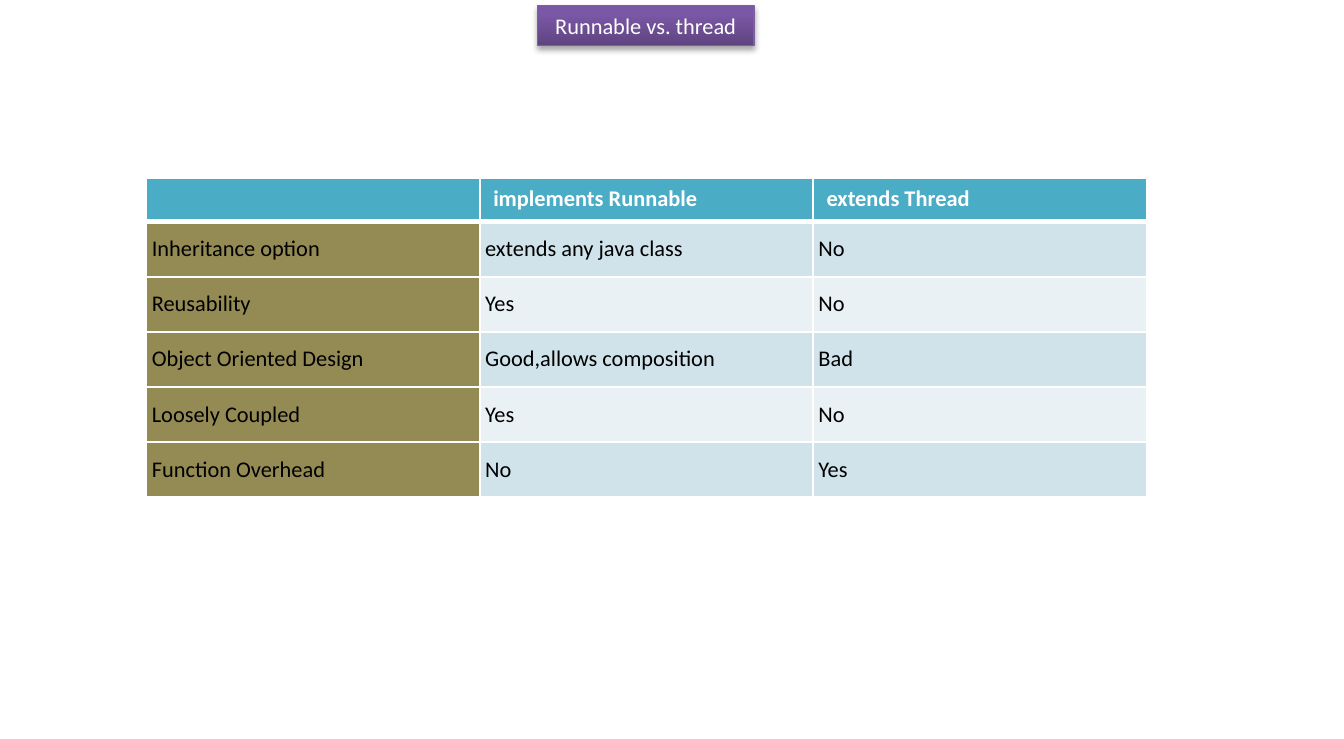
from lxml.etree import SubElement
from pptx import Presentation
from pptx.dml.color import RGBColor
from pptx.enum.shapes import MSO_SHAPE
from pptx.enum.text import MSO_ANCHOR, PP_ALIGN
from pptx.oxml.ns import qn
from pptx.util import Inches, Pt

COLORS = {
    "white": "FFFFFF",
    "black": "000000",
    "title_dark": "5F4480",
    "title_light": "7B58A6",
    "title_line": "7D60A0",
    "header": "4BACC6",
    "label": "948A54",
    "odd_row": "D0E3EA",
    "even_row": "E9F1F5",
}
FONT_SIZE = Pt(12)

ROWS = [
    ["", "implements Runnable", "extends Thread"],
    ["Inheritance option", "extends any java class", "No"],
    ["Reusability", "Yes", "No"],
    ["Object Oriented Design", "Good,allows composition", "Bad"],
    ["Loosely Coupled", "Yes", "No"],
    ["Function Overhead", "No", "Yes"],
]


def format_text(paragraph, color, bold=False):
    for run in paragraph.runs:
        run.font.name = "Calibri"
        run.font.size = FONT_SIZE
        run.font.bold = bold
        run.font.color.rgb = RGBColor.from_string(COLORS[color])


def add_borders(cell, bottom_width):
    """Draw white borders; must run before the cell gets its fill."""
    properties = cell._tc.get_or_add_tcPr()
    for side in ("L", "R", "T", "B"):
        width = bottom_width if side == "B" else Pt(1)
        line = SubElement(properties, qn(f"a:ln{side}"), w=str(width))
        fill = SubElement(line, qn("a:solidFill"))
        SubElement(fill, qn("a:srgbClr"), val=COLORS["white"])


presentation = Presentation()
presentation.slide_width = Inches(10)
presentation.slide_height = Inches(5.5)
slide = presentation.slides.add_slide(presentation.slide_layouts[6])

# Title box with gradient and soft shadow
title = slide.shapes.add_shape(
    MSO_SHAPE.RECTANGLE, Inches(4), Inches(0.04), Inches(1.61), Inches(0.3)
)
title.fill.gradient()
title.fill.gradient_angle = 90
for stop, position, color in zip(
    title.fill.gradient_stops, (0, 0.8), ("title_dark", "title_light")
):
    stop.position = position
    stop.color.rgb = RGBColor.from_string(COLORS[color])
title.line.color.rgb = RGBColor.from_string(COLORS["title_line"])
title.line.width = Pt(0.75)
title.shadow.inherit = False
effects = title._element.spPr.find(qn("a:effectLst"))
shadow = SubElement(
    effects, qn("a:outerShdw"), blurRad=str(Pt(3.1)), dist=str(Pt(1.8)),
    dir="5400000", rotWithShape="0",
)
shadow_color = SubElement(shadow, qn("a:srgbClr"), val=COLORS["black"])
SubElement(shadow_color, qn("a:alpha"), val="35000")
title.text_frame.text = "Runnable vs. thread"
title.text_frame.vertical_anchor = MSO_ANCHOR.MIDDLE
title.text_frame.word_wrap = True
title_paragraph = title.text_frame.paragraphs[0]
title_paragraph.alignment = PP_ALIGN.CENTER
format_text(title_paragraph, "white")

# Comparison table
table = slide.shapes.add_table(
    len(ROWS), len(ROWS[0]), Inches(1.09), Inches(1.33), Inches(7.44), Inches(2.35)
).table
for column in table.columns:
    column.width = Inches(2.48)

for row_index, texts in enumerate(ROWS):
    is_header = row_index == 0
    table.rows[row_index].height = Inches(0.32 if is_header else 0.41)
    for column_index, text in enumerate(texts):
        cell = table.cell(row_index, column_index)
        add_borders(cell, Pt(3) if is_header else Pt(1))
        if is_header:
            color = "header"
        elif column_index == 0:
            color = "label"
        else:
            color = "odd_row" if row_index % 2 else "even_row"
        cell.fill.solid()
        cell.fill.fore_color.rgb = RGBColor.from_string(COLORS[color])

        paragraph = cell.text_frame.paragraphs[0]
        if text:
            paragraph.text = text
            format_text(paragraph, "white" if is_header else "black", is_header)
        else:
            # Keeps the empty cell from stretching the header row
            SubElement(paragraph._p, qn("a:endParaRPr"), sz=str(int(FONT_SIZE.pt * 100)))
        if not is_header:
            cell.vertical_anchor = MSO_ANCHOR.MIDDLE
            cell.margin_left = cell.margin_right = Inches(0.04)
            cell.margin_top = cell.margin_bottom = Inches(0.04)

presentation.save("out.pptx")
